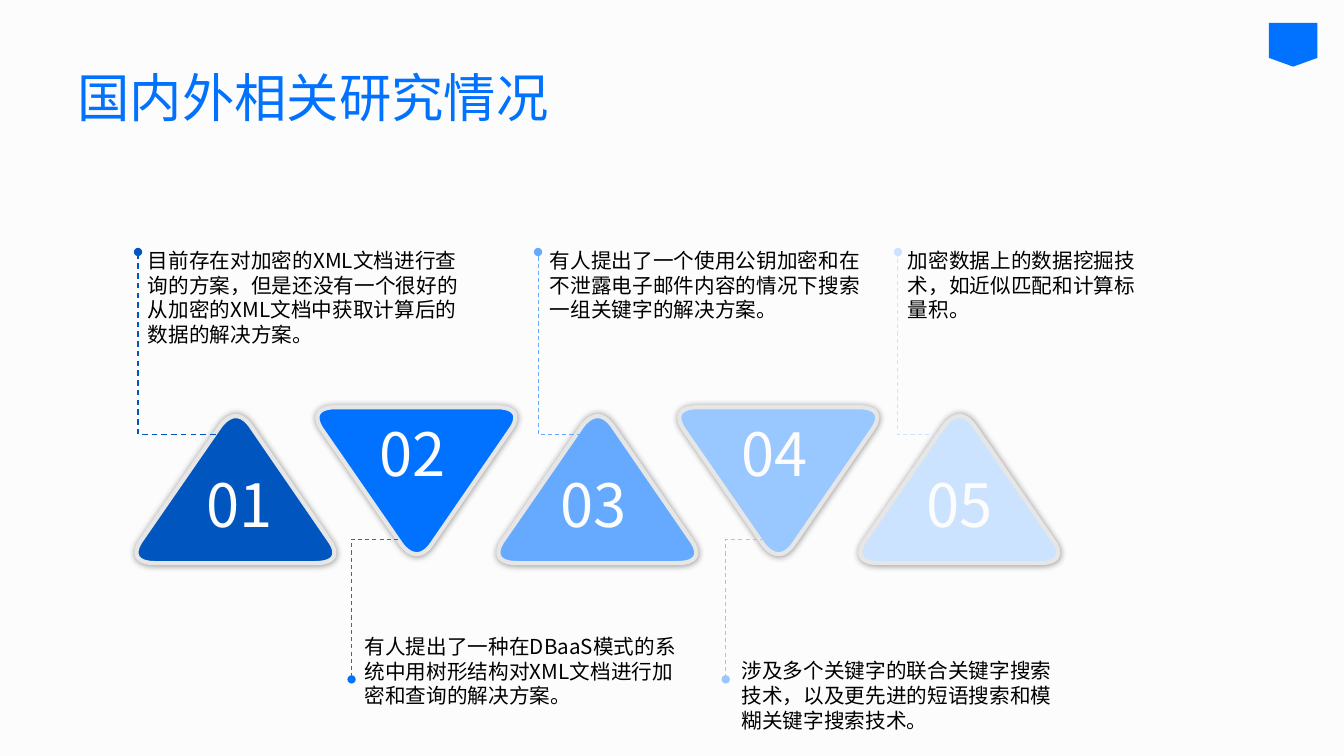
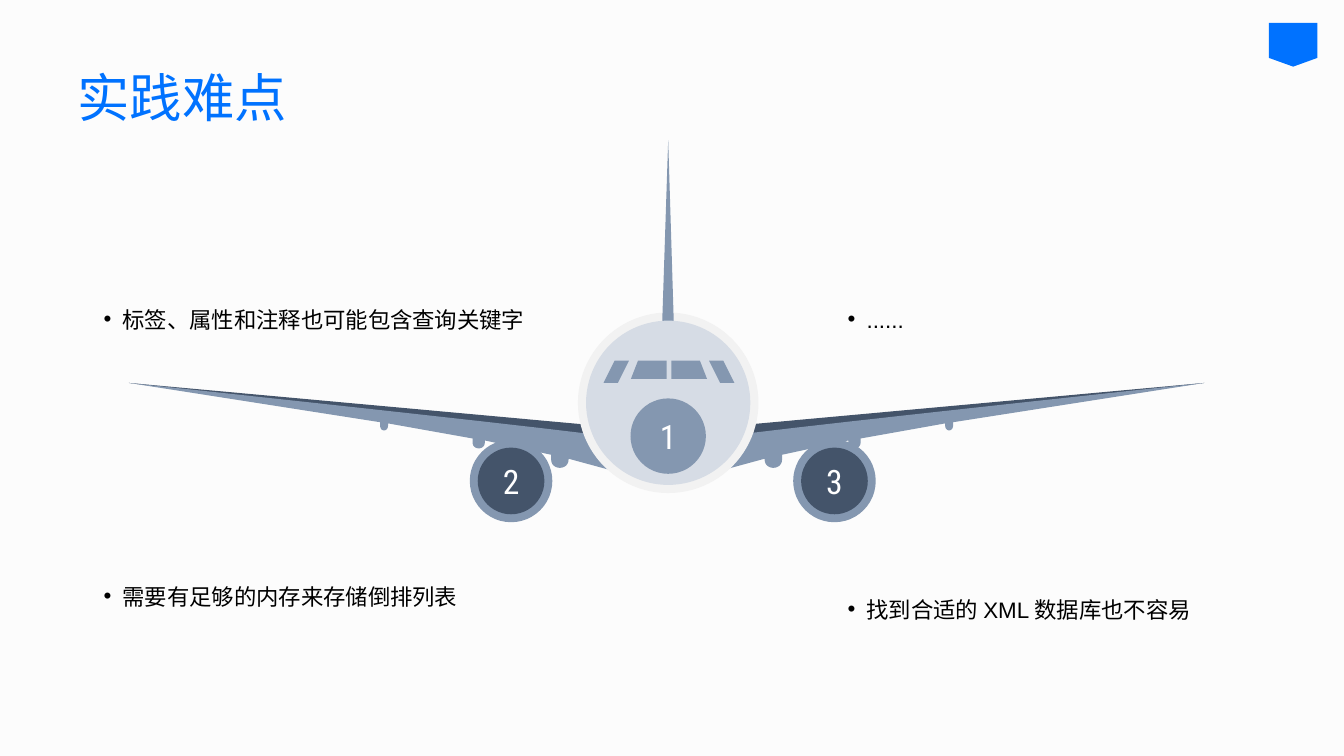
"""Build two slides: related research as five triangles, and practical difficulties around an aeroplane."""
import pptx
import pptx.dml.color
import pptx.enum.dml
import pptx.enum.shapes
import pptx.enum.text
import pptx.oxml
import pptx.oxml.ns
import pptx.util
import lxml.etree

Cm = pptx.util.Cm
Pt = pptx.util.Pt
Rgb = pptx.dml.color.RGBColor.from_string
Kind = pptx.enum.shapes.MSO_SHAPE
Anchor = pptx.enum.text.MSO_ANCHOR
Align = pptx.enum.text.PP_ALIGN
qn = pptx.oxml.ns.qn


class Theme:
    paper, ink, white, blue, rim = "FCFCFC", "000000", "FFFFFF", "0072FF", "E7E6E6"
    tints = ["0055BF", "0072FF", "66AAFF", "99C7FF", "CCE3FF"]
    steel, navy, hull, halo = "8497B0", "44546A", "D6DCE5", "F2F2F2"
    head, body, label, item, mark = 37.4, 14.7, 42.6, 16, 24
    sans, hans, slim = "Arial", "Noto Sans CJK SC", "Roboto Condensed"


def say(frame, text, size, font, color):
    """Add one styled run to a frame and return its paragraph."""
    para = frame.paragraphs[0]
    run = para.add_run()
    run.text = text
    run.font.size = Pt(size)
    run.font.name = font
    run.font.color.rgb = Rgb(color)
    east = lxml.etree.SubElement(run.font._element, qn("a:ea"))
    east.set("typeface", Theme.hans)
    return para


def trace(slide, start, steps, fill=None):
    """Draw an outline from line steps (x, y) and curve steps of three points."""
    dots = [start]
    for step in steps:
        if len(step) == 2:
            dots.append(step)
            continue
        ax, ay = dots[-1]
        bx, by, cx, cy, dx, dy = step
        for i in range(1, 13):
            t = i / 12
            u = 1 - t
            dots.append((
                u**3 * ax + 3 * u * u * t * bx + 3 * u * t * t * cx + t**3 * dx,
                u**3 * ay + 3 * u * u * t * by + 3 * u * t * t * cy + t**3 * dy))
    dots = [(Cm(x), Cm(y)) for x, y in dots]
    maker = slide.shapes.build_freeform(*dots[0])
    maker.add_line_segments(dots[1:], close=fill is not None)
    shape = maker.convert_to_shape()
    shape.shadow.inherit = False
    if fill:
        shape.fill.solid()
        shape.fill.fore_color.rgb = Rgb(fill)
    else:
        shape.fill.background()
    shape.line.fill.background()
    return shape


deck = pptx.Presentation()
deck.slide_width, deck.slide_height = Cm(33.87), Cm(19.05)
back = deck.slide_master.background.fill
back.solid()
back.fore_color.rgb = Rgb(Theme.paper)

for title in ["国内外相关研究情况", "实践难点"]:
    slide = deck.slides.add_slide(deck.slide_layouts[6])
    frame = slide.shapes.add_textbox(Cm(1.7), Cm(1.32), Cm(30.48), Cm(2.08)).text_frame
    frame.word_wrap = True
    frame.vertical_anchor = Anchor.MIDDLE
    say(frame, title, Theme.head, Theme.sans, Theme.blue).line_spacing = 1.1
    badge = slide.shapes.add_shape(
        Kind.FLOWCHART_OFFPAGE_CONNECTOR, Cm(31.98), Cm(0.58), Cm(1.22), Cm(1.1))
    badge.shadow.inherit = False
    badge.fill.solid()
    badge.fill.fore_color.rgb = Rgb(Theme.blue)
    badge.line.fill.background()

study, plane = deck.slides

cards = [
    ("目前存在对加密的XML文档进行查询的方案，但是还没有一个很好的从加密的XML文档中获取计算后的数据的解决方案。",
     3.48, 6.12, 8.59, 4.95, 5.77, 3.48),
    ("有人提出了一种在DBaaS模式的系统中用树形结构对XML文档进行加密和查询的解决方案。",
     8.94, 15.85, 8.59, 9.32, 10.49, 8.86),
    ("有人提出了一个使用公钥加密和在不泄露电子邮件内容的情况下搜索一组关键字的解决方案。",
     13.61, 6.12, 8.59, 13.87, 14.91, 13.56),
    ("涉及多个关键字的联合关键字搜索技术，以及更先进的短语搜索和模糊关键字搜索技术。",
     18.44, 16.46, 8.59, 18.44, 19.53, 18.29),
    ("加密数据上的数据挖掘技术，如近似匹配和计算标量积。",
     22.63, 6.12, 6.27, 23.1, 24.05, 22.63),
]
wedge = [
    (5, 3.25), (5.21, 3.58, 5.08, 3.78, 4.62, 3.78),
    (0.58, 3.78), (0.13, 3.78, 0, 3.58, 0.2, 3.25),
    (2.24, 0.3), (2.49, 0, 2.74, 0, 2.97, 0.3),
]
glow = (
    '<a:outerShdw xmlns:a="http://schemas.openxmlformats.org/drawingml/2006/main" '
    'blurRad="63500" dist="0" algn="ctr" rotWithShape="0">'
    '<a:srgbClr val="000000"><a:alpha val="40000"/></a:srgbClr></a:outerShdw>')

for i, (text, left, top, wide, numx, near, far) in enumerate(cards):
    tint = Theme.tints[i]
    down = i % 2 == 1
    base, sign = (14.04, -1) if down else (10.41, 1)
    edge = 3.33 + 4.56 * i
    steps = [
        tuple(edge + v if k % 2 == 0 else base + sign * v for k, v in enumerate(step))
        for step in wedge]
    shape = trace(study, steps[-1][-2:], steps, tint)
    shape.line.color.rgb = Rgb(Theme.rim)
    shape.line.width = Pt(3)
    shape._element.spPr.find(qn("a:effectLst")).append(pptx.oxml.parse_xml(glow))

    bend, tip = (13.59, 17.12) if down else (10.95, 6.35)
    lead = trace(study, (near, bend), [(far, bend), (far, tip)])
    lead.line.color.rgb = Rgb(tint)
    lead.line.width = Pt(1 if i == 0 else 0.75)
    lead.line.dash_style = pptx.enum.dml.MSO_LINE.DASH
    for end in ("a:headEnd", "a:tailEnd"):
        lxml.etree.SubElement(lead.line._ln, qn(end)).set("type", "oval")

    frame = study.shapes.add_textbox(Cm(left), Cm(top), Cm(wide), Cm(2.13)).text_frame
    frame.word_wrap = True
    say(frame, text, Theme.body, Theme.hans, Theme.ink)
    numy = 10.39 if down else 11.66
    frame = study.shapes.add_textbox(Cm(numx), Cm(numy), Cm(2.29), Cm(2.08)).text_frame
    frame.word_wrap = False
    say(frame, f"{i + 1:02}", Theme.label, Theme.hans, Theme.paper)

axis = 16.84
blade = [(15.21, 10.74), (3.25, 9.65), (15.21, 11.23)]
wing = [
    (3.25, 9.65), (9.58, 10.64),
    (9.58, 10.72), (9.58, 10.89, 9.78, 10.89, 9.78, 10.72), (9.78, 10.67),
    (11.91, 11.05), (11.91, 11.15), (11.91, 11.35, 12.22, 11.35, 12.22, 11.15), (12.22, 11.1),
    (13.89, 11.46), (13.89, 11.58), (13.89, 11.86, 14.33, 11.86, 14.33, 11.58), (14.33, 11.56),
    (15.8, 11.96), (15.67, 11.05), (15.2, 10.92, 3.25, 9.65, 3.25, 9.65),
]
side = [(15.49, 9.09), (15.85, 9.09), (15.57, 9.65), (15.21, 9.65)]
front = [(15.9, 9.55), (16.8, 9.55), (16.8, 9.09), (16.08, 9.09)]
tail = [(16.69, 8.1), (axis, 3.53), (16.98, 8.1)]

parts = []
for outline, fill, mid in [(blade, Theme.navy, 16.8), (wing, Theme.steel, 16.8)]:
    parts += [(outline, fill, None), (outline, fill, mid)]
for x, text in [(12.88, "2"), (21.03, "3")]:
    parts += [((x, 12.12, 2.08), Theme.steel, ""), ((x, 12.12, 1.68), Theme.navy, text)]
parts += [
    ((axis, 10.15, 4.55), Theme.halo, ""),
    (tail, Theme.steel, None),
    ((axis, 10.15, 4.14), Theme.hull, ""),
]
for outline in (side, front):
    parts += [(outline, Theme.steel, None), (outline, Theme.steel, 16.86)]
parts.append(((axis, 10.99, 1.9), Theme.steel, "1"))

for form, fill, extra in parts:
    if isinstance(form, list):
        if extra:
            form = [
                tuple(2 * extra - v if k % 2 == 0 else v for k, v in enumerate(step))
                for step in form]
        trace(plane, form[0], form[1:], fill)
        continue
    x, y, size = form
    disc = plane.shapes.add_shape(
        Kind.OVAL, Cm(x - size / 2), Cm(y - size / 2), Cm(size), Cm(size))
    disc.shadow.inherit = False
    disc.fill.solid()
    disc.fill.fore_color.rgb = Rgb(fill)
    disc.line.fill.background()
    if extra:
        disc.text_frame.word_wrap = False
        disc.text_frame.vertical_anchor = Anchor.MIDDLE
        say(disc.text_frame, extra, Theme.mark, Theme.slim, Theme.white).alignment = Align.CENTER

for text, left, top, wide, font in [
    ("标签、属性和注释也可能包含查询关键字", 2.36, 7.24, 11.61, Theme.hans),
    ("......", 21.11, 7.24, 10.9, Theme.sans),
    ("需要有足够的内存来存储倒排列表", 2.36, 14.22, 10.59, Theme.sans),
    ("找到合适的 XML 数据库也不容易", 21.11, 14.55, 10.9, Theme.sans),
]:
    frame = plane.shapes.add_textbox(Cm(left), Cm(top), Cm(wide), Cm(2.21)).text_frame
    frame.word_wrap = True
    para = say(frame, text, Theme.item, font, Theme.ink)
    para.line_spacing = 1.5
    props = para._p.get_or_add_pPr()
    props.set("marL", str(Cm(0.48)))
    props.set("indent", str(-Cm(0.48)))
    lxml.etree.SubElement(props, qn("a:buFont")).set("typeface", Theme.sans)
    lxml.etree.SubElement(props, qn("a:buChar")).set("char", "•")

deck.save("out.pptx")
